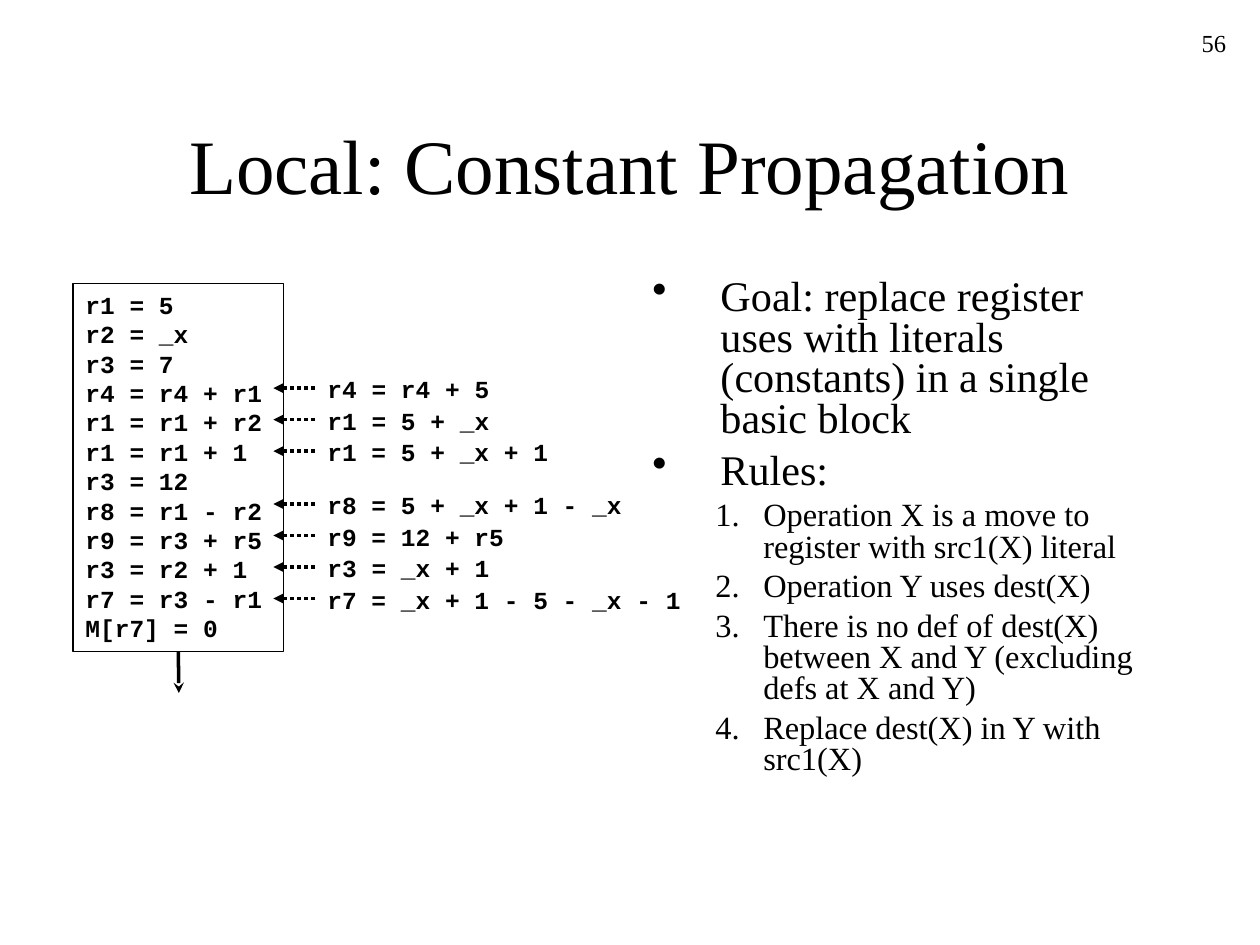
"""Build the slide on local constant propagation."""
from dataclasses import dataclass

from lxml.etree import SubElement
from pptx import Presentation
from pptx.dml.color import RGBColor
from pptx.enum.dml import MSO_LINE_DASH_STYLE as Dash
from pptx.enum.shapes import MSO_CONNECTOR_TYPE as Connector, MSO_SHAPE as Shape
from pptx.enum.text import MSO_ANCHOR as Anchor, PP_ALIGN as Align
from pptx.oxml.ns import qn
from pptx.util import Inches, Pt


@dataclass(frozen=True)
class Theme:
    ink: RGBColor = RGBColor(0, 0, 0)
    serif: str = "Times New Roman"
    mono: str = "Courier New"
    title: float = 44
    point: float = 24.1
    rule: float = 18.5
    small: float = 14


theme = Theme()


def add_text(paragraph, text, size, face=theme.serif, bold=False):
    run = paragraph.add_run()
    run.text = text
    run.font.size = Pt(size)
    run.font.name = face
    run.font.bold = bold
    run.font.color.rgb = theme.ink


def add_arrow(x1, y1, x2, y2, head):
    arrow = slide.shapes.add_connector(
        Connector.STRAIGHT, Inches(x1), Inches(y1), Inches(x2), Inches(y2)
    )
    arrow.line.color.rgb = theme.ink
    arrow.line.width = Pt(2)
    if head == "triangle":
        arrow.line.dash_style = Dash.ROUND_DOT
    SubElement(arrow.line._get_or_add_ln(), qn("a:tailEnd"), type=head)
    SubElement(arrow._element.spPr, qn("a:effectLst"))
    return arrow


prs = Presentation()
prs.slide_width, prs.slide_height = Inches(10), Inches(7.5)
slide = prs.slides.add_slide(prs.slide_layouts[6])

title = slide.shapes.add_textbox(Inches(0.75), Inches(0.67), Inches(8.5), Inches(1.25)).text_frame
title.word_wrap = True
title.vertical_anchor = Anchor.MIDDLE
title.paragraphs[0].alignment = Align.CENTER
add_text(title.paragraphs[0], "Local: Constant Propagation", theme.title)

block = slide.shapes.add_shape(
    Shape.RECTANGLE, Inches(0.58), Inches(2.25), Inches(1.67), Inches(2.92)
)
block.shadow.inherit = False
block.fill.background()
block.line.color.rgb = theme.ink
block.line.width = Pt(0.75)
block.text_frame.word_wrap = False
block.text_frame.vertical_anchor = Anchor.TOP
code = block.text_frame.paragraphs[0]
code.alignment = Align.LEFT
operations = [
    "r1 = 5", "r2 = _x", "r3 = 7", "r4 = r4 + r1", "r1 = r1 + r2", "r1 = r1 + 1",
    "r3 = 12", "r8 = r1 - r2", "r9 = r3 + r5", "r3 = r2 + 1", "r7 = r3 - r1", "M[r7] = 0",
]
for index, operation in enumerate(operations):
    if index:
        code.add_line_break()
    add_text(code, operation, theme.small, theme.mono, True)

block_exit = add_arrow(1.42, 5.17, 1.42, 5.5, "stealth")
block_exit.begin_connect(block, 2)

body = slide.shapes.add_textbox(Inches(5.08), Inches(2.17), Inches(4.17), Inches(4.5)).text_frame
body.word_wrap = True
points = [
    (0, "Goal: replace register uses with literals (constants) in a single basic block"),
    (0, "Rules:"),
    (1, "Operation X is a move to register with src1(X) literal"),
    (1, "Operation Y uses dest(X)"),
    (1, "There is no def of dest(X) between X and Y (excluding defs at X and Y)"),
    (1, "Replace dest(X) in Y with src1(X)"),
]
levels = [
    (theme.point, 6.5, 0.54, -0.54, "a:buChar", {"char": "•"}),
    (theme.rule, 5, 0.88, -0.38, "a:buAutoNum", {"type": "arabicPeriod"}),
]
for index, (level, text) in enumerate(points):
    size, space, margin, indent, bullet, marker = levels[level]
    paragraph = body.add_paragraph() if index else body.paragraphs[0]
    paragraph.level = level
    paragraph.line_spacing = 0.8
    paragraph.space_before = Pt(space)
    properties = paragraph._p.get_or_add_pPr()
    properties.set("marL", str(Inches(margin)))
    properties.set("indent", str(Inches(indent)))
    bullet_color = SubElement(properties, qn("a:buClr"))
    SubElement(bullet_color, qn("a:srgbClr"), val=str(theme.ink))
    SubElement(properties, qn(bullet), marker)
    add_text(paragraph, text, size)

rewrite_groups = [
    (3.08, ["r4 = r4 + 5", "r1 = 5 + _x", "r1 = 5 + _x + 1"]),
    (4, ["r8 = 5 + _x + 1 - _x", "r9 = 12 + r5", "r3 = _x + 1", "r7 = _x + 1 - 5 - _x - 1"]),
]
for top, rewrites in rewrite_groups:
    for row, rewrite in enumerate(rewrites):
        y = top + 0.25 * row
        add_arrow(2.5, y, 2.17, y, "triangle")
        label = slide.shapes.add_textbox(
            Inches(2.5), Inches(y - 0.16), Inches(0.2 + 0.117 * len(rewrite)), Inches(0.34)
        ).text_frame
        label.word_wrap = False
        add_text(label.paragraphs[0], rewrite, theme.small, theme.mono, True)

number = slide.shapes.add_textbox(Inches(7.75), Inches(0.17), Inches(2.08), Inches(0.5)).text_frame
number.word_wrap = True
number.paragraphs[0].alignment = Align.RIGHT
add_text(number.paragraphs[0], "56", theme.small)

prs.save("out.pptx")
